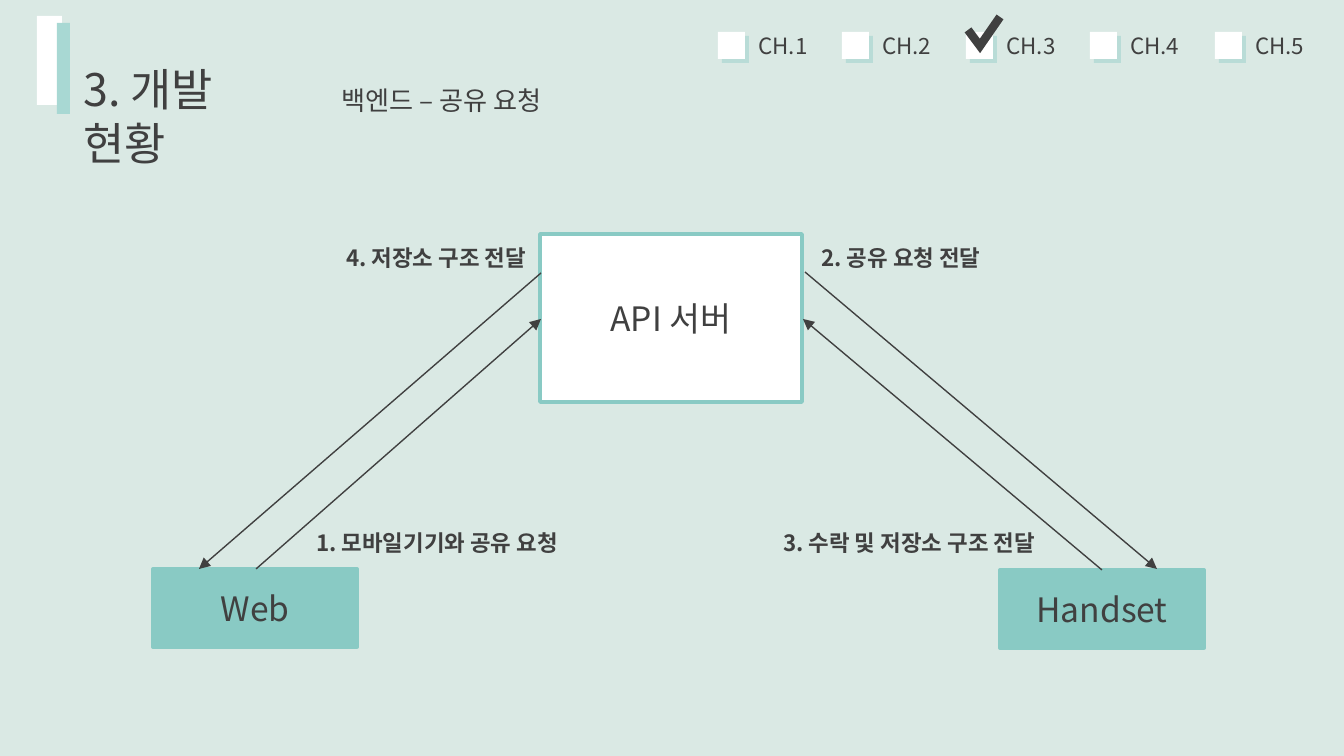
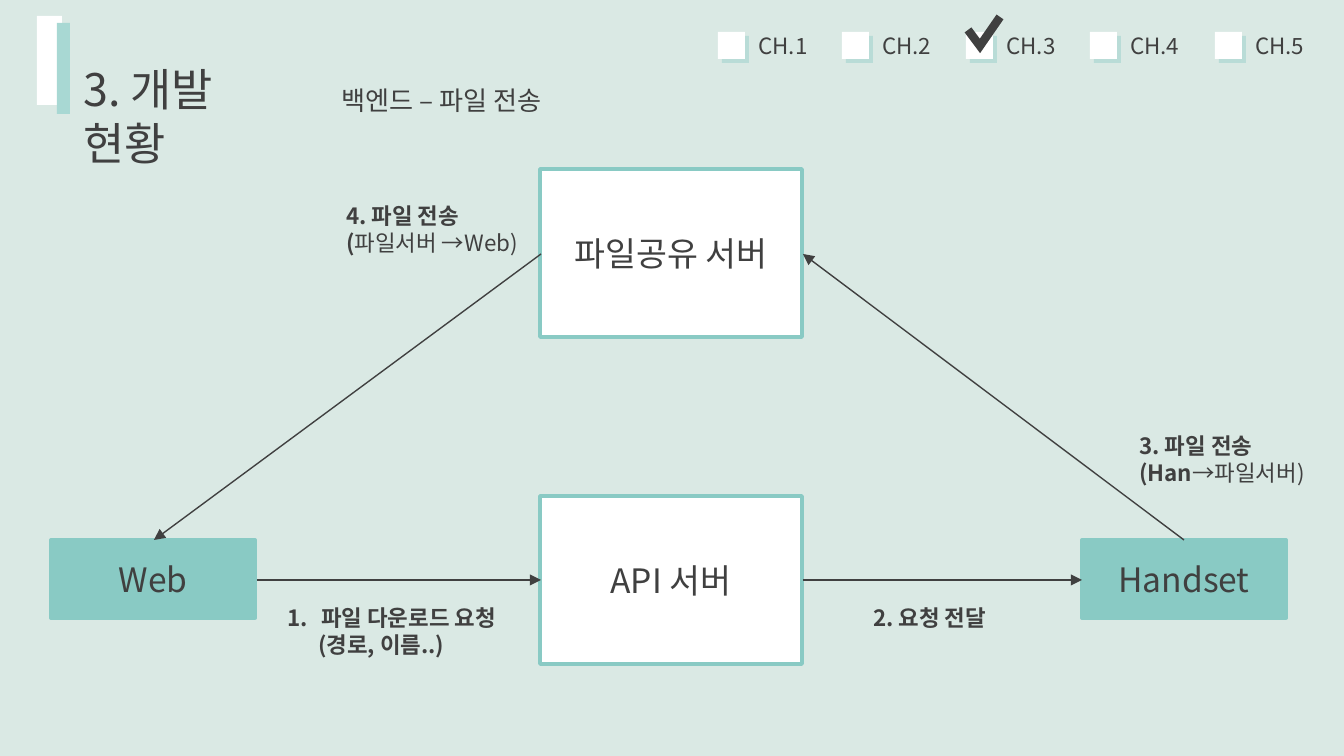
from lxml.etree import SubElement
from pptx import Presentation
from pptx.dml.color import RGBColor
from pptx.enum.shapes import MSO_CONNECTOR, MSO_SHAPE
from pptx.enum.text import MSO_ANCHOR, MSO_AUTO_SIZE, PP_ALIGN
from pptx.oxml.ns import qn
from pptx.util import Pt

SCALE = 914400 / 134.4
FONT = "Noto Sans CJK KR"
MINT_PALE = RGBColor(0xDA, 0xE9, 0xE4)
MINT_MID = RGBColor(0xA8, 0xD8, 0xD3)
MINT = RGBColor(0x89, 0xCA, 0xC4)
WHITE = RGBColor(0xFF, 0xFF, 0xFF)
INK = RGBColor(0x40, 0x40, 0x40)

CHAPTERS = ["CH.1", "CH.2", "CH.3", "CH.4", "CH.5"]
SERVER_SIZE = (262, 168)
DEVICE_SIZE = (204, 78)

WRAPPED = {"word_wrap": True, "auto_size": MSO_AUTO_SIZE.NONE,
           "vertical_anchor": MSO_ANCHOR.TOP}
ONE_LINE = {"word_wrap": False, "auto_size": MSO_AUTO_SIZE.SHAPE_TO_FIT_TEXT,
            "vertical_anchor": MSO_ANCHOR.TOP}
CENTRED = {"word_wrap": True, "vertical_anchor": MSO_ANCHOR.MIDDLE}


def px(length):
    return round(length * SCALE)


def apply(target, values):
    for attribute, value in values.items():
        setattr(target, attribute, value)


def write(frame, paragraphs, size, layout, align=PP_ALIGN.LEFT):
    apply(frame, layout)
    for index, runs in enumerate(paragraphs):
        paragraph = frame.add_paragraph() if index else frame.paragraphs[0]
        apply(paragraph, {"alignment": align, "line_spacing": Pt(size * 1.2)})
        for text, bold in runs:
            run = paragraph.add_run()
            run.text = text
            apply(run.font, {"name": FONT, "size": Pt(size), "bold": bold})
            run.font.color.rgb = INK
            SubElement(run.font._element, qn("a:ea"), typeface=FONT)


def add_text(slide, box, paragraphs, size, layout):
    frame = slide.shapes.add_textbox(*map(px, box)).text_frame
    write(frame, paragraphs, size, layout)
    return frame


def add_label(slide, box, *paragraphs):
    return add_text(slide, box, paragraphs, 12, WRAPPED)


def add_block(slide, box, fill):
    block = slide.shapes.add_shape(MSO_SHAPE.RECTANGLE, *map(px, box))
    block.shadow.inherit = False
    block.fill.solid()
    block.fill.fore_color.rgb = fill
    block.line.fill.background()
    return block


def add_node(slide, name, corner, size, fill):
    node = add_block(slide, corner + size, fill)
    node.line.color.rgb = MINT
    node.line.width = Pt(2)
    write(node.text_frame, [[(name, False)]], 18, CENTRED, PP_ALIGN.CENTER)


def add_server(slide, name, top):
    add_node(slide, name, (540, top), SERVER_SIZE, WHITE)


def add_device(slide, name, left, top):
    add_node(slide, name, (left, top), DEVICE_SIZE, MINT)


def add_arrow(slide, start, end):
    arrow = slide.shapes.add_connector(MSO_CONNECTOR.STRAIGHT, *map(px, start + end))
    arrow.line.color.rgb = INK
    arrow.line.width = Pt(0.75)
    SubElement(arrow.line._get_or_add_ln(), qn("a:tailEnd"), type="triangle")
    SubElement(arrow._element.spPr, qn("a:effectLst"))


def add_offset_shadow(block):
    effects = block._element.spPr.find(qn("a:effectLst"))
    shadow = SubElement(effects, qn("a:outerShdw"), blurRad="0", dist=str(Pt(3)),
                        dir="2700000", algn="tl", rotWithShape="0")
    tint = SubElement(shadow, qn("a:srgbClr"), val=str(MINT))
    SubElement(tint, qn("a:alpha"), val="40000")


def add_check_mark(slide):
    outline = slide.shapes.build_freeform(968, 30, scale=SCALE)
    outline.add_line_segments([(980, 46), (1000, 17)], close=False)
    check = outline.convert_to_shape()
    check.shadow.inherit = False
    check.fill.background()
    check.line.color.rgb = INK
    check.line.width = Pt(4.5)
    SubElement(check.line._get_or_add_ln(), qn("a:miter"), lim="800000")


def add_chapter_bar(slide):
    for index, chapter in enumerate(CHAPTERS):
        left = 718 + index * 497 // 4
        add_offset_shadow(add_block(slide, (left, 32, 27, 27), WHITE))
        add_text(slide, (left + 27, 26, 81, 40), [[(chapter, False)]], 12, ONE_LINE)
    add_check_mark(slide)


def add_page(prs, topic):
    slide = prs.slides.add_slide(prs.slide_layouts[5])
    title = slide.shapes.title
    apply(title, {"left": px(70), "top": px(55), "width": px(258), "height": px(67)})
    write(title.text_frame, [[("3. 개발 현황", False)]], 24,
          WRAPPED | {"margin_right": px(40)})
    add_text(slide, (328, 78, 234, 46), [[(topic, False)]], 14, ONE_LINE)
    add_block(slide, (37, 16, 25, 89), WHITE)
    add_block(slide, (57, 23, 13, 91), MINT_MID)
    add_chapter_bar(slide)
    return slide


def add_share_request(prs):
    slide = add_page(prs, "백엔드 – 공유 요청")
    add_server(slide, "API 서버", 234)
    add_device(slide, "Handset", 1000, 570)
    add_device(slide, "Web", 153, 569)
    for start, end in [((1102, 570), (803, 319)), ((541, 273), (199, 569)),
                       ((256, 569), (541, 319)), ((805, 272), (1157, 569))]:
        add_arrow(slide, start, end)
    for box, step in [((303, 523, 344, 40), "1. 모바일기기와 공유 요청"),
                      ((808, 238, 344, 40), "2. 공유 요청 전달"),
                      ((770, 523, 421, 40), "3. 수락 및 저장소 구조 전달"),
                      ((333, 238, 421, 40), "4. 저장소 구조 전달")]:
        add_label(slide, box, [(step, True)])


def number_first_step(frame):
    step, detail = [paragraph._p.get_or_add_pPr() for paragraph in frame.paragraphs]
    step.set("marL", str(px(34)))
    step.set("indent", str(px(-34)))
    SubElement(step, qn("a:buFont"), typeface="+mj-lt")
    SubElement(step, qn("a:buAutoNum"), type="arabicPeriod")
    detail.set("marL", str(px(31)))


def add_file_transfer(prs):
    slide = add_page(prs, "백엔드 – 파일 전송")
    add_server(slide, "API 서버", 496)
    add_server(slide, "파일공유 서버", 169)
    add_device(slide, "Web", 51, 540)
    add_device(slide, "Handset", 1082, 540)
    for start, end in [((1184, 540), (803, 254)), ((257, 580), (541, 580)),
                       ((803, 580), (1082, 580)), ((541, 254), (154, 540))]:
        add_arrow(slide, start, end)
    download = add_label(slide, (274, 598, 271, 67),
                         [("파일 다운로드 요청", True)], [("(경로, 이름..)", True)])
    number_first_step(download)
    add_label(slide, (860, 598, 249, 40), [("2. 요청 전달", True)])
    add_label(slide, (1126, 426, 204, 67),
              [("3. 파일 전송(Han", True), ("→파일서버)", False)])
    add_label(slide, (333, 196, 222, 67),
              [("4. 파일 전송", True)], [("(", True), ("파일서버 →Web)", False)])


def main():
    prs = Presentation()
    apply(prs, {"slide_width": px(1344), "slide_height": px(756)})
    backdrop = prs.slide_master.background.fill
    backdrop.solid()
    backdrop.fore_color.rgb = MINT_PALE
    add_share_request(prs)
    add_file_transfer(prs)
    prs.save("out.pptx")


if __name__ == "__main__":
    main()
